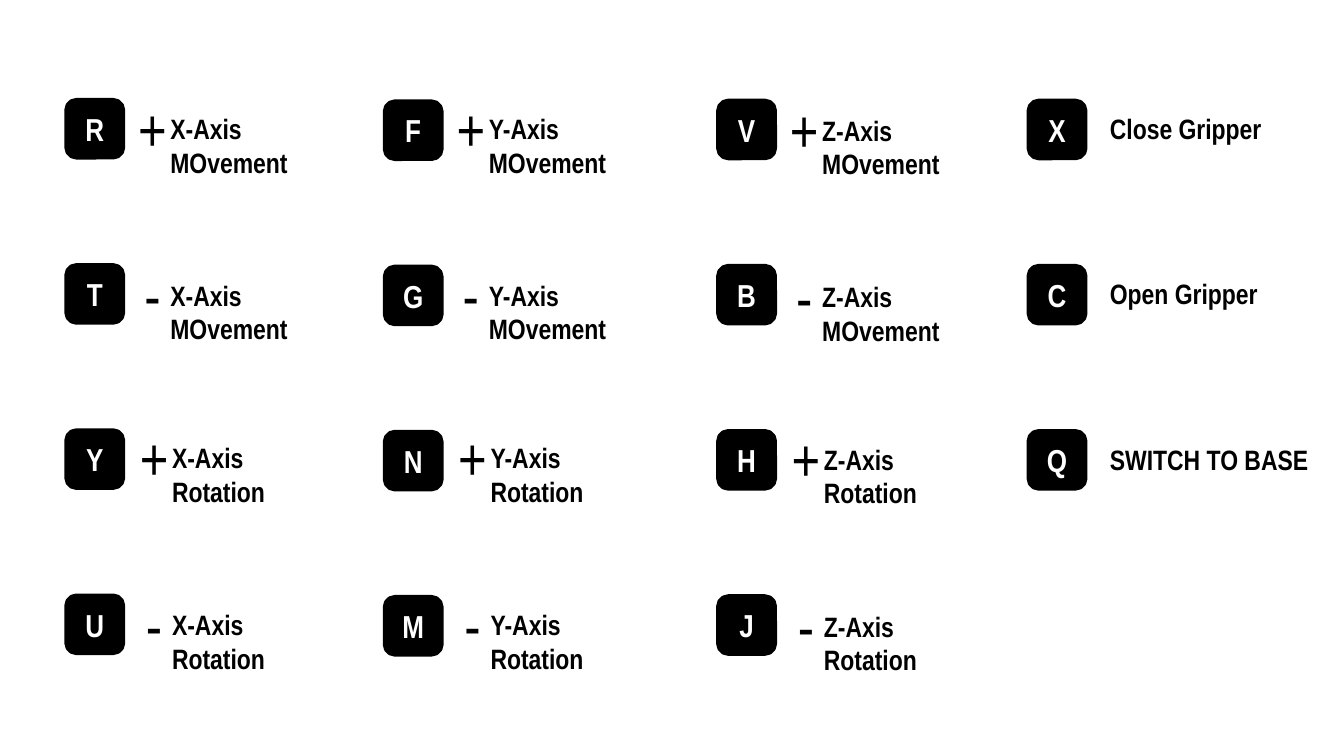
from pptx import Presentation
from pptx.dml.color import RGBColor
from pptx.enum.shapes import MSO_SHAPE
from pptx.enum.text import MSO_ANCHOR, MSO_AUTO_SIZE, PP_ALIGN
from pptx.util import Pt

BLACK, WHITE = "000000", "FFFFFF"
ROW_STEP = 88.5


def color(hex_code):
    return RGBColor.from_string(hex_code)


def write(shape, text, size, hex_code, bold=True):
    frame = shape.text_frame
    frame.word_wrap = True
    frame.margin_left = frame.margin_right = Pt(7.2)
    frame.margin_top = frame.margin_bottom = Pt(7.2)
    frame.text = text
    font = frame.paragraphs[0].font
    font.name = "Arial Narrow"
    font.size = Pt(size)
    font.bold = bold
    font.color.rgb = color(hex_code)
    return frame


prs = Presentation()
prs.slide_width, prs.slide_height = Pt(720), Pt(405)
slide = prs.slides.add_slide(prs.slide_layouts[6])
shapes = slide.shapes

key_columns = [
    ("RTYU", 36, 54),
    ("FGNM", 206.6, 54.8),
    ("VBHJ", 385.2, 54.4),
    ("XCQ", 551.5, 54.4),
]
for letters, left, top in key_columns:
    for row, letter in enumerate(letters):
        key = shapes.add_shape(MSO_SHAPE.ROUNDED_RECTANGLE, Pt(left),
                               Pt(top + row * ROW_STEP), Pt(29.6), Pt(30))
        key.shadow.inherit = False
        key.fill.solid()
        key.fill.fore_color.rgb = color(BLACK)
        key.line.color.rgb = color(BLACK)
        key.line.width = Pt(3)
        key_frame = write(key, letter, 17, WHITE)
        key_frame.vertical_anchor = MSO_ANCHOR.MIDDLE
        key_frame.paragraphs[0].alignment = PP_ALIGN.CENTER

labels = []
for axis, left, drop in [("X", 36, 0), ("Y", 206.6, 0), ("Z", 385.2, 0.8)]:
    for motion, top, width, shift in [("MOvement", 41.8, 109.4, 0),
                                      ("Rotation", 218.2, 94.3, 0.9)]:
        for row, (sign, indent) in enumerate([("+", 30.9), ("-", 34.2)]):
            y = top + drop + row * 89.3
            labels.append((sign, left + indent + shift, y, 29.5, 53.3, 32, False))
            labels.append((f"{axis}-Axis {motion}", left + 48.2 + shift,
                           y + 10.8, width, 32.4, 15, True))

for row, command in enumerate(["Close Gripper", "Open Gripper", "SWITCH TO BASE"]):
    labels.append((command, 587.5, 52.6 + row * ROW_STEP, 155.5, 32.4, 15, True))

for text, left, top, width, height, size, bold in labels:
    label = shapes.add_textbox(Pt(left), Pt(top), Pt(width), Pt(height))
    label_frame = write(label, text, size, BLACK, bold)
    label_frame.auto_size = MSO_AUTO_SIZE.SHAPE_TO_FIT_TEXT

prs.save("out.pptx")
